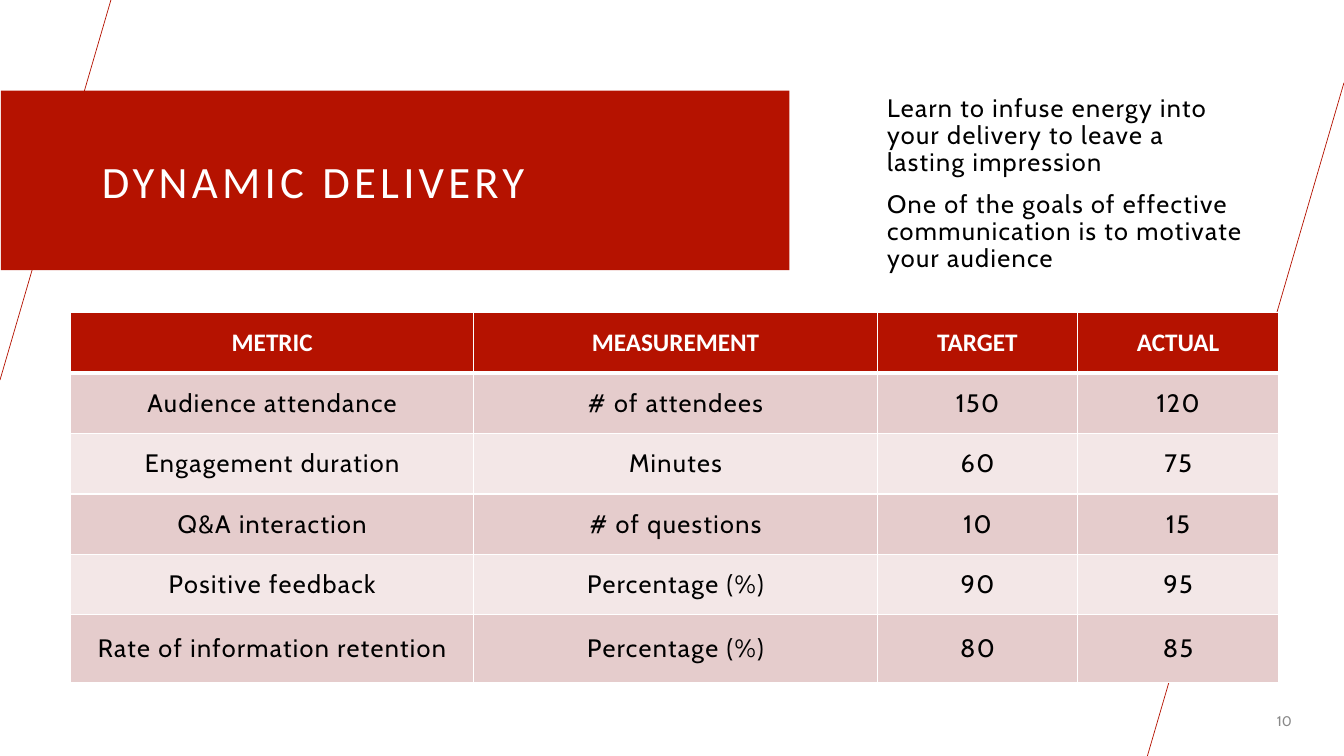
from dataclasses import dataclass

from lxml.etree import SubElement
from pptx import Presentation
from pptx.dml.color import RGBColor
from pptx.enum.shapes import MSO_CONNECTOR, MSO_SHAPE
from pptx.enum.text import MSO_ANCHOR, PP_ALIGN
from pptx.oxml.ns import qn
from pptx.slide import Slide
from pptx.table import _Cell
from pptx.text.text import TextFrame, _Paragraph
from pptx.util import Inches, Pt

HUES = {"red": "B51200", "white": "FFFFFF", "black": "000000",
        "gray": "898989", "dark": "E5CCCC", "light": "F3E7E7"}


@dataclass(frozen=True)
class Style:
    size: float
    face: str
    hue: str
    bold: bool = False
    gap: float = 0


@dataclass(frozen=True)
class Stroke:
    start: tuple[float, float]
    end: tuple[float, float]


TITLE = Style(32, "Calibri", "white", gap=3)
BODY = Style(18, "Cabin", "black", gap=1)
HEAD = Style(18, "Calibri", "white", bold=True)
PAGE = Style(10, "Cabin", "gray")

STROKES = [Stroke((1.1, 0), (0, 3.77)), Stroke((13.33, 0.82), (11.38, 7.5))]
POINTS = [
    "Learn to infuse energy into your delivery to leave a lasting impression",
    "One of the goals of effective communication is to motivate your audience",
]
ROWS = [
    ("METRIC", "MEASUREMENT", "TARGET", "ACTUAL"),
    ("Audience attendance", "# of attendees", "150", "120"),
    ("Engagement duration", "Minutes", "60", "75"),
    ("Q&A interaction", "# of questions", "10", "15"),
    ("Positive feedback", "Percentage (%)", "90", "95"),
    ("Rate of information retention", "Percentage (%)", "80", "85"),
]
WIDTHS = [4, 4, 1.99, 1.99]
HEIGHTS = [0.6] * 5 + [0.67]


def color(name: str) -> RGBColor:
    return RGBColor.from_string(HUES[name])


def write(par: _Paragraph, text: str, style: Style, align: PP_ALIGN = PP_ALIGN.LEFT) -> None:
    par.alignment = align
    run = par.add_run()
    run.text = text
    form = {"size": Pt(style.size), "name": style.face, "bold": style.bold}
    for key, value in form.items():
        setattr(run.font, key, value)
    run.font.color.rgb = color(style.hue)
    if style.gap:
        run._r.get_or_add_rPr().set("spc", str(int(style.gap * 100)))


def add_line(slide: Slide, stroke: Stroke) -> None:
    line = slide.shapes.add_connector(
        MSO_CONNECTOR.STRAIGHT, *map(Inches, stroke.start + stroke.end))
    line.line.color.rgb = color("red")
    line.line.width = Pt(0.5)
    SubElement(line._element.spPr, qn("a:effectLst"))


def add_title(slide: Slide) -> None:
    bar = slide.shapes.add_shape(
        MSO_SHAPE.RECTANGLE, *map(Inches, (0.01, 0.9, 7.82, 1.78)))
    bar.shadow.inherit = False
    bar.fill.solid()
    bar.fill.fore_color.rgb = color("red")
    bar.line.fill.background()
    form = {"margin_left": Inches(1), "margin_right": 0,
            "vertical_anchor": MSO_ANCHOR.MIDDLE, "word_wrap": True}
    for key, value in form.items():
        setattr(bar.text_frame, key, value)
    write(bar.text_frame.paragraphs[0], "DYNAMIC DELIVERY", TITLE)


def add_box(slide: Slide, *area: float) -> TextFrame:
    frame = slide.shapes.add_textbox(*map(Inches, area)).text_frame
    frame.word_wrap = True
    return frame


def add_points(slide: Slide) -> None:
    frame = add_box(slide, 8.7, 0.9, 3.77, 1.79)
    for i, text in enumerate(POINTS):
        par = frame.add_paragraph() if i else frame.paragraphs[0]
        par.line_spacing = 0.9
        par.space_before = Pt(10 if i else 0)
        write(par, text, BODY)


def set_edges(cell: _Cell, top: float, base: float) -> None:
    """Draw white borders, with the given top and bottom widths in points."""
    props = cell._tc.get_or_add_tcPr()
    for side, width in {"L": 1, "R": 1, "T": top, "B": base}.items():
        edge = SubElement(props, qn(f"a:ln{side}"), w=str(Pt(width)))
        fill = SubElement(edge, qn("a:solidFill"))
        SubElement(fill, qn("a:srgbClr"), val=HUES["white"])


def add_grid(slide: Slide) -> None:
    area = (0.7, 3.1, sum(WIDTHS), sum(HEIGHTS))
    table = slide.shapes.add_table(len(ROWS), len(WIDTHS), *map(Inches, area)).table
    table.horz_banding = False
    for col, width in zip(table.columns, WIDTHS):
        col.width = Inches(width)
    for r, (row, height) in enumerate(zip(ROWS, HEIGHTS)):
        table.rows[r].height = Inches(height)
        hue = "red" if r == 0 else "dark" if r % 2 else "light"
        for c, text in enumerate(row):
            cell = table.cell(r, c)
            set_edges(cell, 3 if r == 1 else 1, 3 if r == 0 else 1)
            cell.fill.solid()
            cell.fill.fore_color.rgb = color(hue)
            cell.vertical_anchor = MSO_ANCHOR.MIDDLE
            write(cell.text_frame.paragraphs[0], text, BODY if r else HEAD, PP_ALIGN.CENTER)


def add_page(slide: Slide) -> None:
    frame = add_box(slide, 11.23, 6.95, 1.68, 0.4)
    frame.vertical_anchor = MSO_ANCHOR.MIDDLE
    write(frame.paragraphs[0], "10", PAGE, PP_ALIGN.RIGHT)


def main() -> None:
    deck = Presentation()
    deck.slide_width, deck.slide_height = Inches(13.33), Inches(7.5)
    slide = deck.slides.add_slide(deck.slide_layouts[6])
    for stroke in STROKES:
        add_line(slide, stroke)
    add_title(slide)
    add_points(slide)
    add_grid(slide)
    add_page(slide)
    deck.save("out.pptx")


if __name__ == "__main__":
    main()
